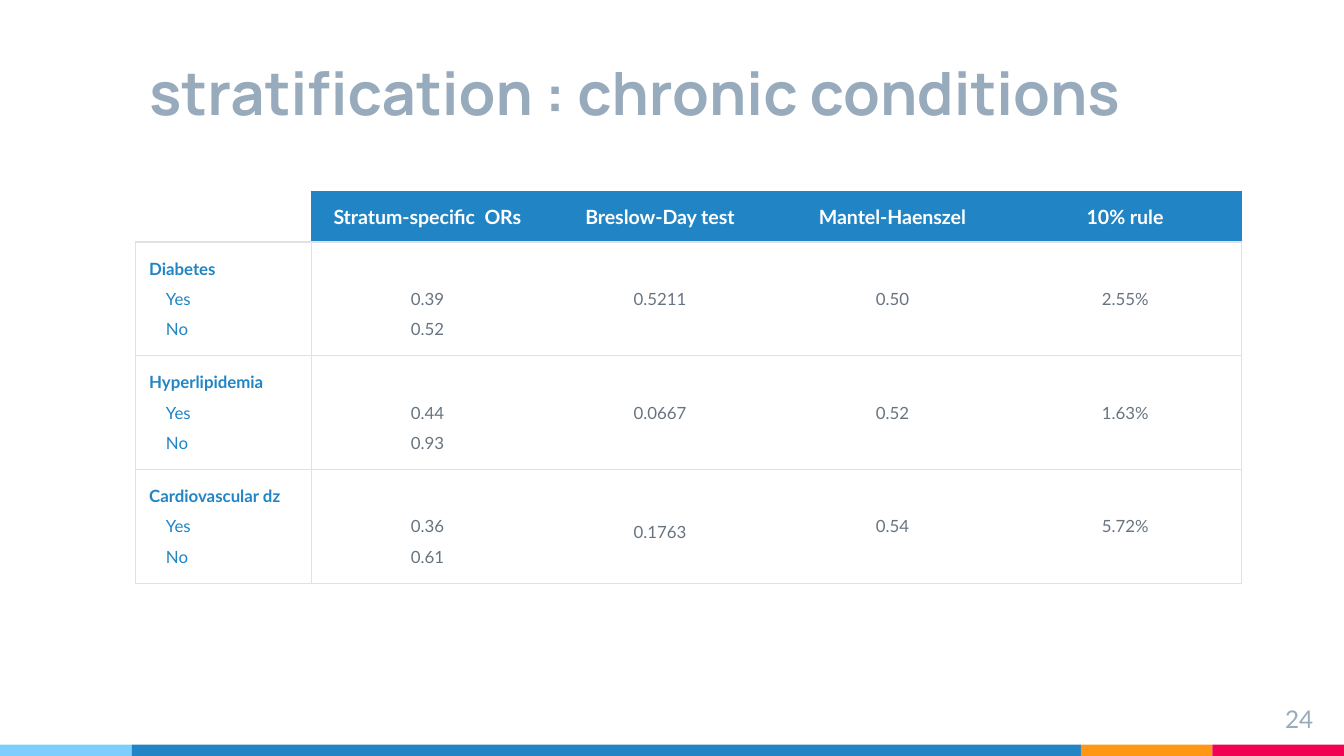
from dataclasses import dataclass

from lxml.etree import SubElement
from pptx import Presentation
from pptx.dml.color import RGBColor as RGB
from pptx.enum.shapes import MSO_SHAPE as SHAPE
from pptx.enum.text import MSO_ANCHOR as ANCHOR, PP_ALIGN as ALIGN
from pptx.oxml.ns import qn
from pptx.util import Pt


@dataclass(frozen=True)
class Theme:
    blue: str = "2185C5"
    sky: str = "7ECEFD"
    orange: str = "FF9715"
    red: str = "F20253"
    slate: str = "97ABBC"
    gray: str = "677480"
    rule: str = "DEE2E6"
    white: str = "FFFFFF"
    heading_font: str = "Manrope"
    body_font: str = "Lato"
    title_size: float = 32
    number_size: float = 13
    header_size: float = 10.5
    body_size: float = 9


class Deck:
    inset = 7.2
    indent = 9

    def __init__(self, theme, width, height):
        self.theme = theme
        self.prs = Presentation()
        self.prs.slide_width, self.prs.slide_height = Pt(width), Pt(height)
        self.s = None

    def add_slide(self):
        self.s = self.prs.slides.add_slide(self.prs.slide_layouts[5])

    def frame(self, tf, anchor):
        formats = {"word_wrap": True, "vertical_anchor": anchor}
        formats.update({f"margin_{side}": Pt(self.inset)
                        for side in ("left", "top", "right", "bottom")})
        for name, value in formats.items():
            setattr(tf, name, value)

    def add_text(self, p, text, size, color, bold=False, font=None,
                 align=ALIGN.LEFT, spacing=1.0):
        p.alignment, p.line_spacing = align, spacing
        r = p.add_run()
        r.text = text
        formats = {"name": font or self.theme.body_font,
                   "size": Pt(size), "bold": bold}
        for name, value in formats.items():
            setattr(r.font, name, value)
        r.font.color.rgb = RGB.from_string(color)

    def title(self, text, *box):
        sp = self.s.shapes.title
        sp.left, sp.top, sp.width, sp.height = map(Pt, box)
        self.frame(sp.text_frame, ANCHOR.BOTTOM)
        self.add_text(sp.text_frame.paragraphs[0], text, self.theme.title_size,
                      self.theme.slate, True, self.theme.heading_font)

    def slide_number(self, text, *box):
        tf = self.s.shapes.add_textbox(*map(Pt, box)).text_frame
        self.frame(tf, ANCHOR.TOP)
        self.add_text(tf.paragraphs[0], text, self.theme.number_size,
                      self.theme.slate, align=ALIGN.RIGHT)

    def bar(self, color, *box):
        sp = self.s.shapes.add_shape(SHAPE.RECTANGLE, *map(Pt, box))
        sp.shadow.inherit = False
        sp.fill.solid()
        sp.fill.fore_color.rgb = RGB.from_string(color)
        sp.line.fill.background()

    def table(self, left, top, widths, heights):
        table = self.s.shapes.add_table(
            len(heights), len(widths), Pt(left), Pt(top),
            Pt(sum(widths)), Pt(sum(heights))).table
        table.first_row = table.horz_banding = False
        for column, width in zip(table.columns, widths):
            column.width = Pt(width)
        for row, height in zip(table.rows, heights):
            row.height = Pt(height)
        return table

    def cell(self, cell, lines, borders, fill=None, top_inset=None):
        tc_pr = cell._tc.get_or_add_tcPr()
        for side in "LRTB":
            line = SubElement(tc_pr, qn(f"a:ln{side}"), w=str(Pt(0.75)))
            color = borders.get(side)
            if color:
                solid = SubElement(line, qn("a:solidFill"))
                SubElement(solid, qn("a:srgbClr"), val=color)
            else:
                SubElement(line, qn("a:noFill"))
        if fill:
            cell.fill.solid()
            cell.fill.fore_color.rgb = RGB.from_string(fill)
        else:
            cell.fill.background()
        inset = Pt(self.inset if lines else 0)
        formats = {"vertical_anchor": ANCHOR.MIDDLE,
                   "margin_left": inset, "margin_right": inset,
                   "margin_top": Pt(top_inset) if top_inset else inset,
                   "margin_bottom": inset}
        for name, value in formats.items():
            setattr(cell, name, value)
        tf = cell.text_frame
        for i, (text, style, indented) in enumerate(lines):
            p = tf.add_paragraph() if i else tf.paragraphs[0]
            if indented:
                p._p.get_or_add_pPr().set("marL", str(Pt(self.indent)))
            self.add_text(p, text, **style)


def fill_table(deck, table, headers, strata):
    t = deck.theme
    header = dict(size=t.header_size, color=t.white, bold=True, align=ALIGN.CENTER)
    label = dict(size=t.body_size, color=t.blue)
    value = dict(size=t.body_size, color=t.gray, align=ALIGN.CENTER)
    last = len(headers)

    deck.cell(table.cell(0, 0), [], {"R": t.blue, "B": t.rule})
    for col, text in enumerate(headers, 1):
        borders = {"T": t.blue, "B": t.rule}
        if col == 1:
            borders["L"] = t.blue
        if col == last:
            borders["R"] = t.blue
        deck.cell(table.cell(0, col), [(text, header, False)], borders, t.blue)

    for row, (name, ratios, results, test_spacing) in enumerate(strata, 1):
        edges = {"T": t.rule, "B": t.rule}
        labels = [(name, dict(label, bold=True), False)]
        labels += [(text, dict(label, spacing=1.5), True) for text in ("Yes", "No")]
        deck.cell(table.cell(row, 0), labels, dict(edges, L=t.rule, R=t.rule))
        odds = [(text, dict(value, spacing=1.5), False) for text in ratios]
        deck.cell(table.cell(row, 1), odds, dict(edges, L=t.rule),
                  top_inset=deck.inset + 1.2 * t.body_size)
        for col, text in enumerate(results, 2):
            spacing = test_spacing if col == 2 else 1.0
            borders = dict(edges, R=t.rule) if col == last else edges
            deck.cell(table.cell(row, col),
                      [(text, dict(value, spacing=spacing), False)], borders)


def main():
    theme = Theme()
    deck = Deck(theme, 720, 405)
    deck.add_slide()

    x = 0
    for color, width in ((theme.sky, 70.5), (theme.blue, 508.5),
                         (theme.orange, 70.5), (theme.red, 70.5)):
        deck.bar(color, x, 399, width, 6)
        x += width

    deck.title("stratification : chronic conditions", 72.7, 8, 548, 67.5)
    deck.slide_number("24", 667.5, 370, 43, 24.5)

    table = deck.table(72.7, 102.6, [94] + [124.6] * 4, [27] + [61] * 3)
    headers = ("Stratum-specific  ORs", "Breslow-Day test",
               "Mantel-Haenszel", "10% rule")
    strata = (
        ("Diabetes", ("0.39", "0.52"), ("0.5211", "0.50", "2.55%"), 1.0),
        ("Hyperlipidemia", ("0.44", "0.93"), ("0.0667", "0.52", "1.63%"), 1.0),
        ("Cardiovascular dz", ("0.36", "0.61"), ("0.1763", "0.54", "5.72%"), 1.5),
    )
    fill_table(deck, table, headers, strata)
    deck.prs.save("out.pptx")


if __name__ == "__main__":
    main()
